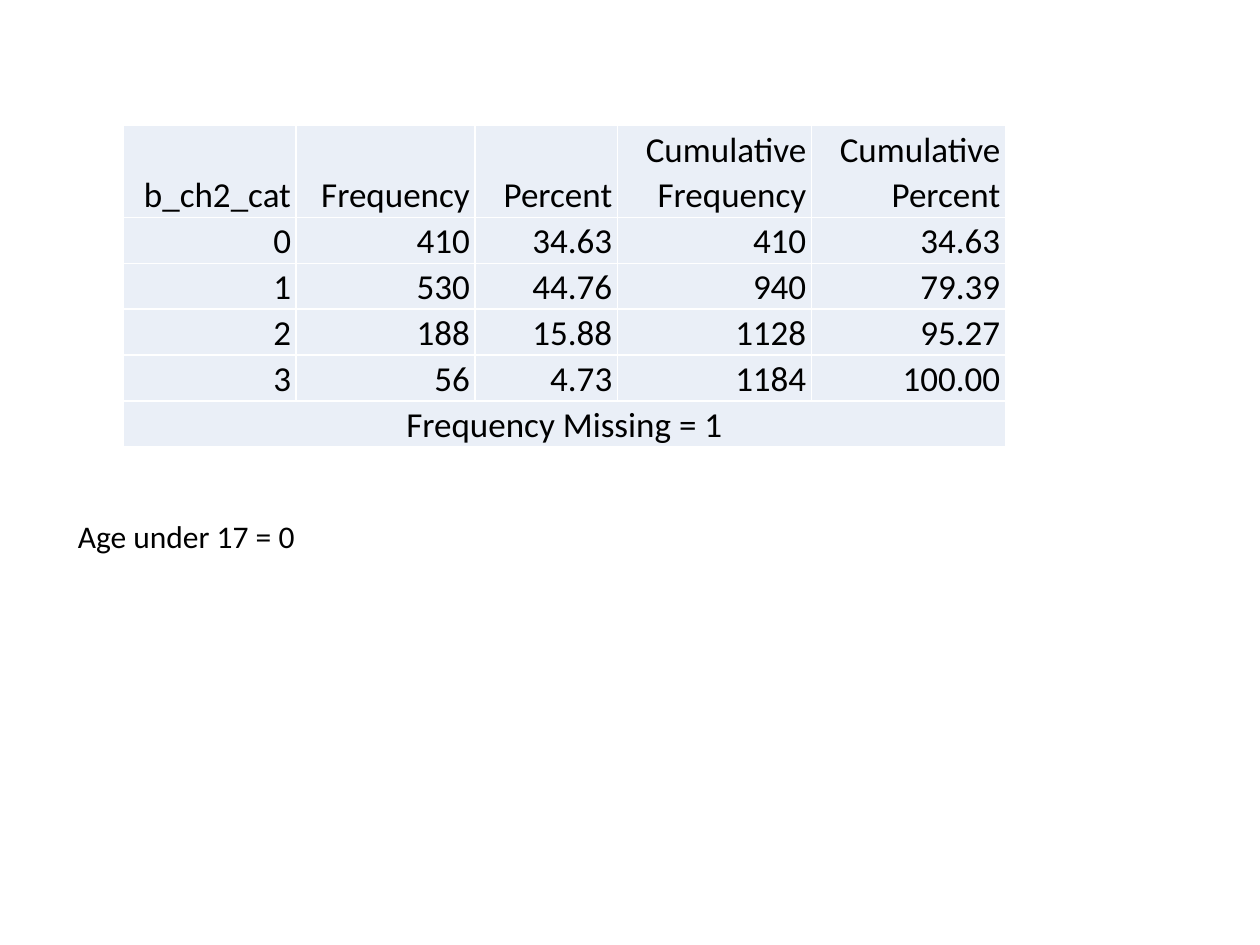
from lxml.etree import SubElement
from pptx import Presentation
from pptx.dml.color import RGBColor as RGB
from pptx.enum.text import MSO_ANCHOR as Anchor, MSO_AUTO_SIZE as AutoSize, PP_ALIGN as Align
from pptx.oxml.ns import qn
from pptx.util import Inches, Pt

W, H = Inches(10), Inches(7.5)
COLORS = {"text": "000000", "cell": "EAEFF7", "border": "FFFFFF"}
FONT = "Calibri"
COLS = [0.137, 0.142, 0.113, 0.154, 0.154]
HEADER_ROW, BODY_ROW = 0.065, 0.032
ROWS = [
    ["b_ch2_cat", "Frequency", "Percent", "Cumulative\vFrequency", "Cumulative\vPercent"],
    ["0", "410", "34.63", "410", "34.63"],
    ["1", "530", "44.76", "940", "79.39"],
    ["2", "188", "15.88", "1128", "95.27"],
    ["3", "56", "4.73", "1184", "100.00"],
]
FOOTER = "Frequency Missing = 1"


def write(tf, text, size, align=Align.LEFT, line=None, gap=None):
    p = tf.paragraphs[0]
    p.text = text
    p.alignment = align
    p.line_spacing = line
    p.space_before = p.space_after = gap
    for r in p.runs:
        r.font.name = FONT
        r.font.size = Pt(size)
        r.font.color.rgb = RGB.from_string(COLORS["text"])


def add_borders(cell):
    tcPr = cell._tc.get_or_add_tcPr()
    for side in ("lnL", "lnR", "lnT", "lnB"):
        ln = SubElement(tcPr, qn(f"a:{side}"), w=str(Pt(1)))
        fill = SubElement(ln, qn("a:solidFill"))
        SubElement(fill, qn("a:srgbClr"), val=COLORS["border"])


def format_cell(cell, anchor):
    add_borders(cell)
    cell.fill.solid()
    cell.fill.fore_color.rgb = RGB.from_string(COLORS["cell"])
    cell.margin_left = cell.margin_right = Inches(0.04)
    cell.margin_top = cell.margin_bottom = 0
    cell.vertical_anchor = anchor


def add_frequency_table(s, x, y, h):
    count, last = len(ROWS) + 1, len(ROWS)
    frame = s.shapes.add_table(count, len(COLS), int(x * W), int(y * H),
                               int(sum(COLS) * W), int(h * H))
    table = frame.table
    table.first_row = table.horz_banding = False
    for col, share in zip(table.columns, COLS):
        col.width = int(share * W)
    for i, row in enumerate(table.rows):
        row.height = int((BODY_ROW if i else HEADER_ROW) * H)
        for cell in row.cells:
            format_cell(cell, Anchor.BOTTOM if i in (0, last) else Anchor.TOP)
    frame.height = int(h * H)
    for i, values in enumerate(ROWS):
        for j, value in enumerate(values):
            write(table.cell(i, j).text_frame, value, 20, Align.RIGHT, 1.07, Pt(3))
    footer = table.cell(last, 0)
    footer.merge(table.cell(last, len(COLS) - 1))
    write(footer.text_frame, FOOTER, 20, Align.CENTER, 1.07, Pt(3))


def add_note(s, text, x, y, w, h):
    sp = s.shapes.add_textbox(int(x * W), int(y * H), int(w * W), int(h * H))
    tf = sp.text_frame
    tf.word_wrap = True
    tf.auto_size = AutoSize.SHAPE_TO_FIT_TEXT
    write(tf, text, 18)


def main():
    prs = Presentation()
    prs.slide_width, prs.slide_height = W, H
    s = prs.slides.add_slide(prs.slide_layouts[6])
    add_frequency_table(s, 0.098, 0.133, 0.333)
    add_note(s, "Age under 17 = 0", 0.052, 0.54, 0.283, 0.056)
    prs.save("out.pptx")


if __name__ == "__main__":
    main()
